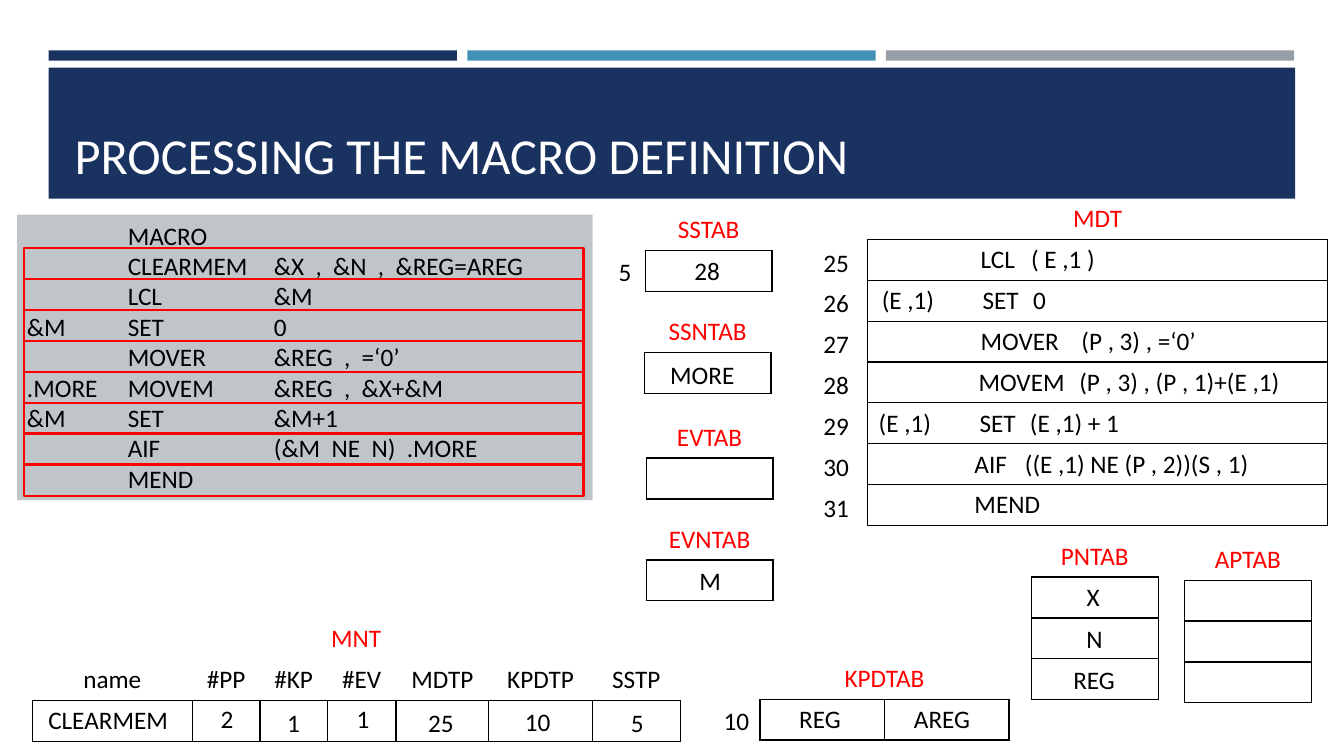
from lxml.etree import SubElement
from pptx import Presentation
from pptx.dml.color import RGBColor
from pptx.enum.shapes import MSO_SHAPE
from pptx.enum.text import MSO_ANCHOR, PP_ALIGN
from pptx.oxml.ns import qn
from pptx.util import Pt

NAVY, BLUE, GREY, PANEL = "1A3260", "4590B8", "969FA7", "C0C5CA"
RED, BLACK, WHITE = "FF0000", "000000", "FFFFFF"
ROW = 29.2
SINGLE = [90.7]


def colour(value):
    return RGBColor.from_string(value)


def write(frame, text, size=18, ink=BLACK, align=PP_ALIGN.LEFT, tabs=(), spacing=None):
    """Put each line of text in its own paragraph."""
    for index, line in enumerate(text.split("\n")):
        para = frame.paragraphs[0] if index == 0 else frame.add_paragraph()
        para.alignment = align
        if spacing:
            para.line_spacing = Pt(spacing)
        if tabs:
            stops = SubElement(para._p.get_or_add_pPr(), qn("a:tabLst"))
            for stop in tabs:
                SubElement(stops, qn("a:tab"), pos=str(Pt(stop)), algn="l")
        span = para.add_run()
        span.text = line
        span.font.size = Pt(size)
        span.font.name = "Calibri"
        span.font.color.rgb = colour(ink)


def rectangle(page, left, top, width, height, fill=None, line=None):
    shape = page.shapes.add_shape(
        MSO_SHAPE.RECTANGLE, Pt(left), Pt(top), Pt(width), Pt(height))
    shape.shadow.inherit = False
    if fill:
        shape.fill.solid()
        shape.fill.fore_color.rgb = colour(fill)
    else:
        shape.fill.background()
    if line:
        shape.line.color.rgb = colour(line)
        shape.line.width = Pt(1.75)
    else:
        shape.line.fill.background()
    return shape


def label(page, left, top, width, text):
    box = page.shapes.add_textbox(Pt(left), Pt(top), Pt(width), Pt(28.8))
    box.text_frame.word_wrap = False
    write(box.text_frame, text)


def set_borders(cell, sides):
    """Draw the named sides in black and clear the others."""
    properties = cell._tc.get_or_add_tcPr()
    for index, side in enumerate("LRTB"):
        edge = properties.makeelement(qn(f"a:ln{side}"), {"w": str(Pt(1))})
        if side in sides:
            solid = SubElement(edge, qn("a:solidFill"))
            SubElement(solid, qn("a:srgbClr"), val=BLACK)
        else:
            SubElement(edge, qn("a:noFill"))
        properties.insert(index, edge)


def draw_table(page, left, top, name, columns=SINGLE, body=1, heads=(), entries=()):
    """A red name row, optional column heads, ruled cells and the entries on them."""
    head_rows = 2 if heads else 1
    rows = head_rows + body
    table = page.shapes.add_table(
        rows, len(columns), Pt(left), Pt(top), Pt(sum(columns)), Pt(rows * ROW)).table
    table.first_row = table.horz_banding = False
    for column, width in zip(table.columns, columns):
        column.width = Pt(width)
    for index, row in enumerate(table.rows):
        row.height = Pt(ROW)
        for cell in row.cells:
            cell.fill.background()
            if index >= head_rows:
                set_borders(cell, "LRTB")
            else:
                set_borders(cell, "B" if index == head_rows - 1 else "")
    if len(columns) > 1:
        table.cell(0, 0).merge(table.cell(0, len(columns) - 1))
    write(table.cell(0, 0).text_frame, name, ink=RED, align=PP_ALIGN.CENTER)
    for index, head in enumerate(heads):
        write(table.cell(1, index).text_frame, head, align=PP_ALIGN.CENTER)
    for text, across, down, width in entries:
        label(page, left + across, top + down, width, text)


def draw_header(page, left, top, width):
    # Three accent bars
    bar, pitch = 291.6, 299
    for index, fill in enumerate((NAVY, BLUE, GREY)):
        rectangle(page, left + index * pitch, top, bar, 7.4, fill)
    # Title band
    band = rectangle(page, left, top + 12.4, width, 93.6, NAVY)
    title = page.shapes.title
    title.left, title.top = Pt(left + 11.3), Pt(top + 19.4)
    title.width, title.height = Pt(width - 22.4), Pt(79.9)
    title.text_frame.vertical_anchor = MSO_ANCHOR.BOTTOM
    write(title.text_frame, "PROCESSING THE MACRO DEFINITION", size=36, ink=WHITE)
    # Keep the title in front of its band
    title._element.addprevious(band._element)


def draw_source(page, left, top, width, height):
    code = "\n".join((
        "\tMACRO",
        "\tCLEARMEM\t&X  ,  &N  ,  &REG=AREG",
        "\tLCL\t&M",
        "&M\tSET\t0",
        "\tMOVER\t&REG  ,  =‘0’",
        ".MORE\tMOVEM\t&REG  ,  &X+&M",
        "&M\tSET\t&M+1",
        "\tAIF\t(&M  NE  N)  .MORE",
        "\tMEND",
    ))
    panel = rectangle(page, left, top, width, height, PANEL)
    panel.text_frame.vertical_anchor = MSO_ANCHOR.TOP
    write(panel.text_frame, code, tabs=(72, 176.4), spacing=21.7)
    # One frame around each line after MACRO
    for index in range(code.count("\n")):
        rectangle(page, left + 5.1, top + 23.8 + index * 22.1, width - 11.5, 22.3, line=RED)


def draw_definition_table(page, left, top):
    lines = (
        ("LCL\t( E ,1 )", 73.5, 136.8),
        ("(E ,1)\tSET\t0", 2.9, 169.2),
        ("MOVER\t(P , 3) , =‘0’", 73.5, 244),
        ("MOVEM\t(P , 3) , (P , 1)+(E ,1)", 72, 234),
        ("(E ,1)\tSET\t(E ,1) + 1", 0.7, 229),
        ("AIF\t((E ,1) NE (P , 2))(S , 1)", 69.1, 255.6),
        ("MEND", 69.1, 65.5),
    )
    entries = []
    for index, (text, across, width) in enumerate(lines):
        entries.append((str(25 + index), -38.9, 31 + index * ROW, 32.4))
        entries.append((text, across, 28.6 + index * ROW, width))
    draw_table(page, left, top, "MDT", [328.3], len(lines), entries=entries)


def draw_symbol_tables(page, left, top):
    draw_table(page, left, top, "SSTAB",
               entries=[("28", 28.1, 28.8, 32.4), ("5", -25.9, 29.5, 23.8)])
    draw_table(page, left - 0.7, top + 72.7, "SSNTAB", entries=[("MORE", 11.5, 30.9, 64.1)])
    draw_table(page, left + 0.7, top + 148.2, "EVTAB")
    draw_table(page, left + 0.7, top + 221, "EVNTAB", entries=[("M", 31, 29.5, 28.8)])


def draw_parameter_tables(page, left, top):
    draw_table(page, left, top, "PNTAB", body=3, entries=[
        ("X", 32.4, 28.8, 27.4), ("N", 32.4, 59, 28.8), ("REG", 23, 87.9, 48.2)])
    draw_table(page, left + 109.4, top + 2.2, "APTAB", body=3)


def draw_name_table(page, left, top):
    draw_table(
        page, left, top, "MNT", [114.5, 48.2, 48.2, 49, 66.2, 74.2, 62.6],
        heads=("name", "#PP", "#KP", "#EV", "MDTP", "KPDTP", "SSTP"),
        entries=[("CLEARMEM", 4.4, 57.6, 105.8), ("2", 127.5, 56.9, 23.8),
                 ("1", 175, 59.7, 23.8), ("1", 224.7, 56.9, 23.8),
                 ("25", 275.8, 59.7, 32.4), ("10", 344.9, 59, 32.4),
                 ("5", 420.5, 59.7, 23.8)])


def draw_keyword_table(page, left, top):
    draw_table(page, left, top, "KPDTAB", [88.9, 88.9], entries=[
        ("REG", 20.9, 28.8, 48.2), ("AREG", 102.9, 28.8, 60.5), ("10", -33.1, 30.2, 32.4)])


def main():
    deck = Presentation()
    deck.slide_width, deck.slide_height = Pt(960), Pt(540)
    page = deck.slides.add_slide(deck.slide_layouts[5])
    draw_header(page, 34.8, 36, 890.4)
    draw_source(page, 12.2, 153.4, 411.1, 203.8)
    draw_symbol_tables(page, 460.8, 149.8)
    draw_definition_table(page, 619.9, 141.8)
    draw_parameter_tables(page, 736.6, 383)
    draw_name_table(page, 23, 442.1)
    draw_keyword_table(page, 542.9, 470.2)
    deck.save("out.pptx")


if __name__ == "__main__":
    main()
